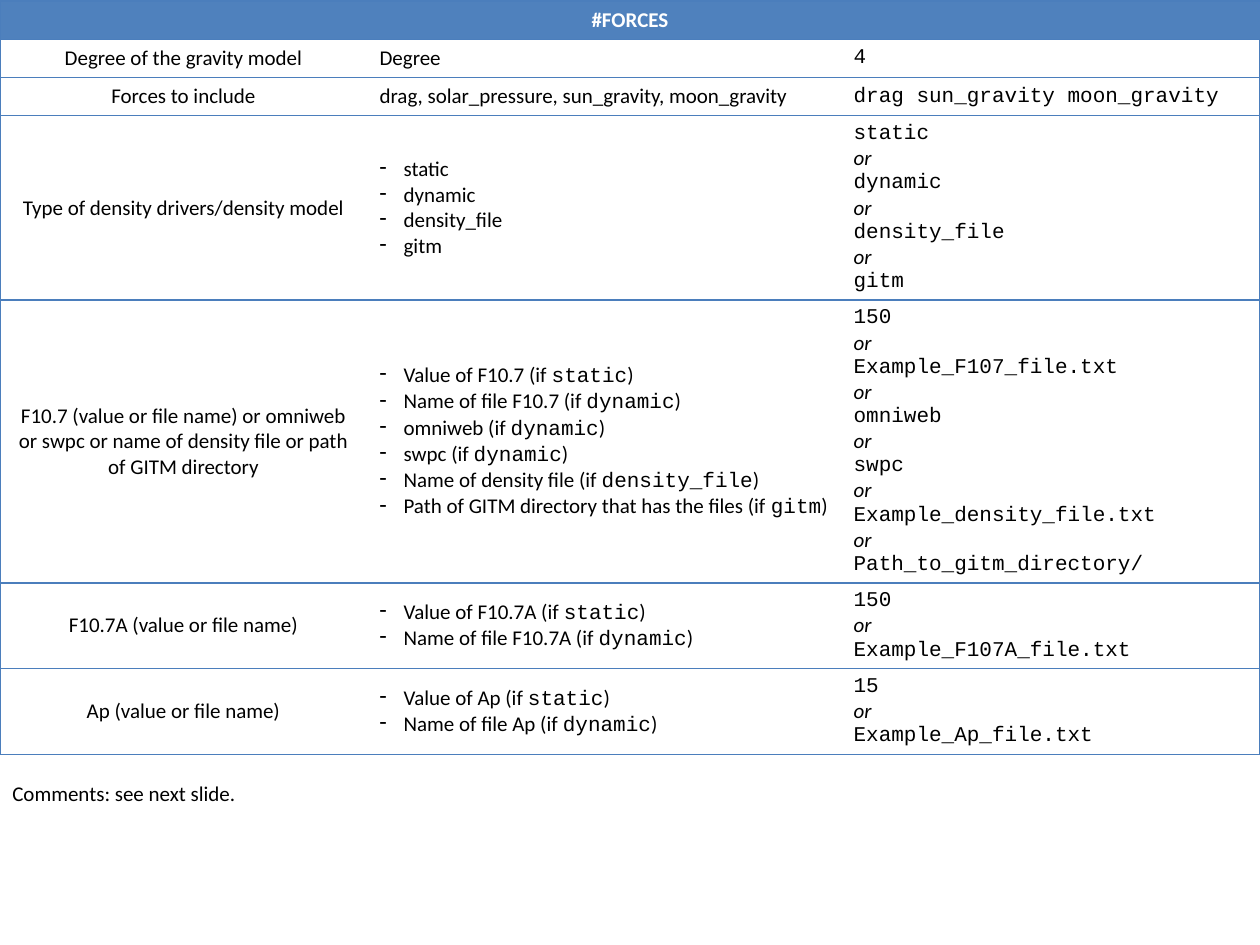
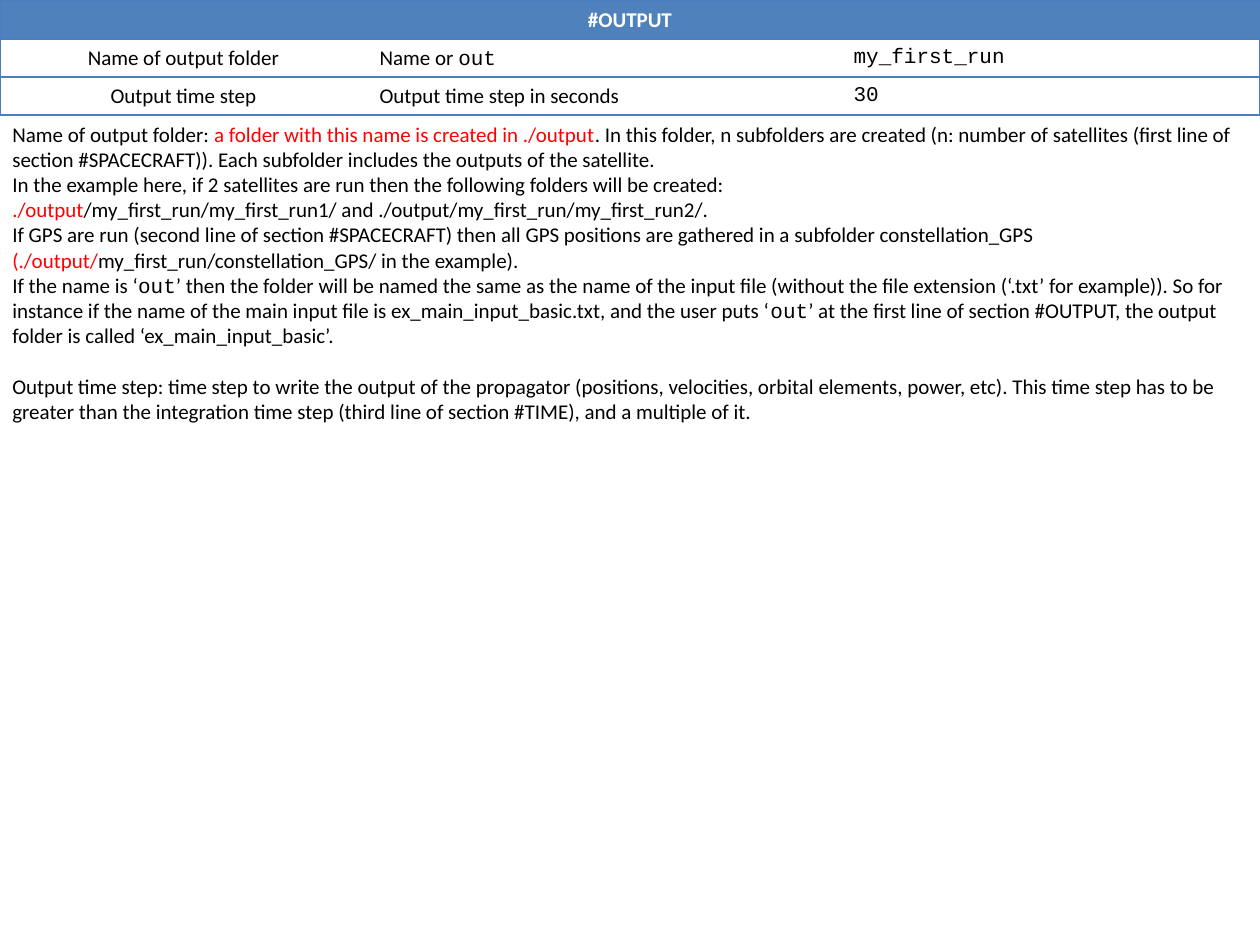
from lxml.etree import SubElement
from pptx import Presentation
from pptx.dml.color import RGBColor
from pptx.enum.text import MSO_ANCHOR as ANCHOR, MSO_AUTO_SIZE as AUTO, PP_ALIGN as ALIGN
from pptx.oxml.ns import qn
from pptx.util import Emu, Pt

EMU_PER_PX = 914400 / 126
SLIDE_W, SLIDE_H = 1260, 945
COL_WIDTHS = [367, 474, 419]
BULLET_INDENT = 24
TEXT_SIZE = 12
BLANK_LINE = 14.4
SANS, MONO = "Calibri", "Courier New"
BLACK, WHITE, RED = "000000", "FFFFFF", "FF0000"
HEADER_FILL, RULE = "4F81BD", "4B7EBC"

FORCES = [
    ("Degree of the gravity model", "Degree", ["4"]),
    ("Forces to include", "drag, solar_pressure, sun_gravity, moon_gravity",
     ["drag sun_gravity moon_gravity"]),
    ("Type of density drivers/density model",
     ["static", "dynamic", "density_file", "gitm"],
     ["static", "dynamic", "density_file", "gitm"]),
    ("F10.7 (value or file name) or omniweb or swpc or name of density file "
     "or path of GITM directory",
     ["Value of F10.7 (if `static`)", "Name of file F10.7 (if `dynamic`)",
      "omniweb (if `dynamic`)", "swpc (if `dynamic`)",
      "Name of density file (if `density_file`)",
      "Path of GITM directory that has the files (if `gitm`)"],
     ["150", "Example_F107_file.txt", "omniweb", "swpc",
      "Example_density_file.txt", "Path_to_gitm_directory/"]),
    ("F10.7A (value or file name)",
     ["Value of F10.7A (if `static`)", "Name of file F10.7A (if `dynamic`)"],
     ["150", "Example_F107A_file.txt"]),
    ("Ap (value or file name)",
     ["Value of Ap (if `static`)", "Name of file Ap (if `dynamic`)"],
     ["15", "Example_Ap_file.txt"]),
]
FORCES_HEIGHTS = [38, 38, 38, 184, 283, 85, 86]

OUTPUT = [
    ("Name of output folder", "Name or `out`", ["my_first_run"]),
    ("Output time step", "Output time step in seconds", ["30"]),
]
OUTPUT_HEIGHTS = [38, 38, 38]

OUTPUT_COMMENTS = [
    "Name of output folder: |a folder with this name is created in ./output|. In this "
    "folder, n subfolders are created (n: number of satellites (first line of section "
    "#SPACECRAFT)). Each subfolder includes the outputs of the satellite.",
    "In the example here, if 2 satellites are run then the following folders will be "
    "created:",
    "|./output|/my_first_run/my_first_run1/ and ./output/my_first_run/my_first_run2/.",
    "If GPS are run (second line of section #SPACECRAFT) then all GPS positions are "
    "gathered in a subfolder constellation_GPS |(./output/|my_first_run/"
    "constellation_GPS/ in the example).",
    "If the name is ‘`out`’ then the folder will be named the same as the name of the "
    "input file (without the file extension (‘.txt’ for example)). So for instance if "
    "the name of the main input file is ex_main_input_basic.txt, and the user puts "
    "‘`out`’ at the first line of section #OUTPUT, the output folder is called "
    "‘ex_main_input_basic’.",
    "Output time step: time step to write the output of the propagator (positions, "
    "velocities, orbital elements, power, etc). This time step has to be greater than "
    "the integration time step (third line of section #TIME), and a multiple of it.",
]


def px(n):
    return Emu(round(n * EMU_PER_PX))


def rgb(color):
    return RGBColor.from_string(color)


def add_run(p, text, font=SANS, color=BLACK, bold=False, italic=False):
    r = p.add_run()
    r.text = text
    r.font.name, r.font.size = font, Pt(TEXT_SIZE)
    r.font.bold, r.font.italic = bold, italic
    r.font.color.rgb = rgb(color)


def add_marked_text(p, text):
    for i, part in enumerate(text.split("|")):
        for j, piece in enumerate(part.split("`")):
            if piece:
                add_run(p, piece, MONO if j % 2 else SANS, RED if i % 2 else BLACK)


def paragraphs(tf, count):
    while len(tf.paragraphs) < count:
        tf.add_paragraph()
    return tf.paragraphs


def add_bullet(p):
    pPr = p._p.get_or_add_pPr()
    pPr.set("marL", str(px(BULLET_INDENT)))
    pPr.set("indent", str(-px(BULLET_INDENT)))
    SubElement(pPr, qn("a:buFontTx"))
    SubElement(pPr, qn("a:buChar"), char="-")


def set_borders(cell, visible):
    tcPr = cell._tc.get_or_add_tcPr()
    for side in "LRTB":
        ln = SubElement(tcPr, qn("a:ln" + side), w=str(Pt(0.75)))
        if side in visible:
            fill = SubElement(ln, qn("a:solidFill"))
            SubElement(fill, qn("a:srgbClr"), val=RULE)
        else:
            SubElement(ln, qn("a:noFill"))


def style_cell(cell, col, header):
    set_borders(cell, "TB" + ("L" if col == 0 else "R" if col == 2 else ""))
    cell.vertical_anchor = ANCHOR.MIDDLE
    if header:
        cell.fill.solid()
        cell.fill.fore_color.rgb = rgb(HEADER_FILL)
    else:
        cell.fill.background()


def fill_parameter(cell, text):
    p = cell.text_frame.paragraphs[0]
    p.alignment = ALIGN.CENTER
    add_run(p, text)


def fill_options(cell, options):
    bulleted = isinstance(options, list)
    lines = options if bulleted else [options]
    for p, line in zip(paragraphs(cell.text_frame, len(lines)), lines):
        if bulleted:
            add_bullet(p)
        add_marked_text(p, line)


def fill_examples(cell, examples):
    count = 2 * len(examples) - 1
    for i, p in enumerate(paragraphs(cell.text_frame, count)):
        if i % 2:
            add_run(p, "or", italic=True)
        else:
            add_run(p, examples[i // 2], MONO)


def add_section_table(s, title, rows, heights):
    frame = s.shapes.add_table(len(heights), len(COL_WIDTHS), 0, px(1),
                               px(SLIDE_W), px(sum(heights)))
    table = frame.table
    table.first_row = table.horz_banding = False
    for column, width in zip(table.columns, COL_WIDTHS):
        column.width = px(width)
    for i, height in enumerate(heights):
        table.rows[i].height = px(height)
        for col in range(len(COL_WIDTHS)):
            style_cell(table.cell(i, col), col, header=i == 0)
    head = table.cell(0, 0)
    head.merge(table.cell(0, len(COL_WIDTHS) - 1))
    p = head.text_frame.paragraphs[0]
    p.alignment = ALIGN.CENTER
    add_run(p, title, color=WHITE, bold=True)
    for i, (parameter, options, examples) in enumerate(rows, 1):
        fill_parameter(table.cell(i, 0), parameter)
        fill_options(table.cell(i, 1), options)
        fill_examples(table.cell(i, 2), examples)


def add_comments(s, lines, top, width, height, wrap=True):
    tf = s.shapes.add_textbox(0, px(top), px(width), px(height)).text_frame
    tf.word_wrap = wrap
    tf.auto_size = AUTO.SHAPE_TO_FIT_TEXT
    for p, line in zip(paragraphs(tf, len(lines)), lines):
        add_marked_text(p, line)
    return tf


def main():
    prs = Presentation()
    prs.slide_width, prs.slide_height = px(SLIDE_W), px(SLIDE_H)
    blank = prs.slide_layouts[6]

    s = prs.slides.add_slide(blank)
    add_section_table(s, "#FORCES", FORCES, FORCES_HEIGHTS)
    add_comments(s, ["Comments: see next slide."], 774, 252, 38, wrap=False)

    s = prs.slides.add_slide(blank)
    add_section_table(s, "#OUTPUT", OUTPUT, OUTPUT_HEIGHTS)
    tf = add_comments(s, OUTPUT_COMMENTS, 115, SLIDE_W, 318)
    tf.paragraphs[-1].space_before = Pt(BLANK_LINE)

    prs.save("out.pptx")


if __name__ == "__main__":
    main()
